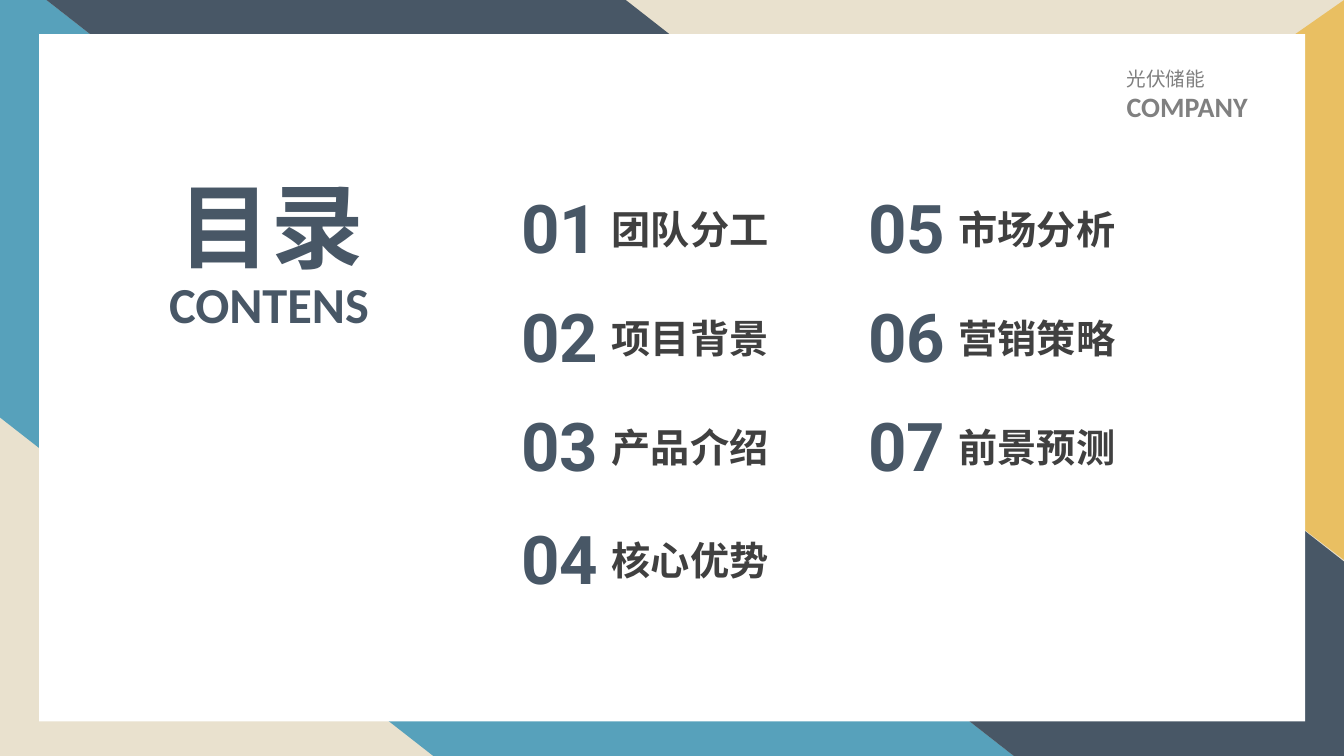
from pptx import Presentation
from pptx.dml.color import RGBColor
from pptx.enum.shapes import MSO_SHAPE as Preset
from pptx.enum.text import MSO_ANCHOR as Anchor, MSO_AUTO_SIZE as AutoSize, PP_ALIGN as Align
from pptx.util import Cm, Pt

WIDTH, HEIGHT = 33.87, 19.05
NAVY, BLUE, GOLD, SAND, WHITE = "485766", "57A1BB", "E9BF62", "E9E1CE", "FFFFFF"
DARK, GREY = "404040", "808080"
FIRST_COLUMN = ["团队分工", "项目背景", "产品介绍", "核心优势"]
SECOND_COLUMN = ["市场分析", "营销策略", "前景预测"]
ROW_TOPS = [0, 2.74, 5.49, 8.33]


def color(hex_code):
    """Turn a hex string into a colour."""
    return RGBColor.from_string(hex_code)


def paint(shape, fill):
    """Give a shape a flat fill without outline or shadow."""
    shape.fill.solid()
    shape.fill.fore_color.rgb = color(fill)
    shape.line.fill.background()
    shape.shadow.inherit = False


def add_panel(slide, preset, box, fill):
    """Add a painted preset shape in a box of centimetres."""
    panel = slide.shapes.add_shape(preset, *map(Cm, box))
    paint(panel, fill)
    return panel


def add_band(slide, corners, fill):
    """Add a painted polygon through corners in centimetres."""
    start, *others = [(Cm(x), Cm(y)) for x, y in corners]
    outline = slide.shapes.build_freeform(*start)
    outline.add_line_segments(others, close=True)
    paint(outline.convert_to_shape(), fill)


def add_text(slide, text, box, *, size, font, fill, bold=True,
             align=Align.LEFT, anchor=Anchor.TOP, grow=False):
    """Add one line of formatted text in a box of centimetres."""
    caption = slide.shapes.add_textbox(*map(Cm, box))
    frame = caption.text_frame
    frame.word_wrap = True
    frame.vertical_anchor = anchor
    frame.auto_size = AutoSize.SHAPE_TO_FIT_TEXT if grow else AutoSize.NONE
    line = frame.paragraphs[0]
    line.alignment = align
    run = line.add_run()
    run.text = text
    run.font.size = Pt(size)
    run.font.name = font
    run.font.bold = bold
    run.font.color.rgb = color(fill)


def add_frame(slide, left, top, width, height):
    """Draw the coloured border and the white page inside it."""
    right, bottom = left + width, top + height
    add_panel(slide, Preset.RECTANGLE, (left, top, width, height), SAND)
    corner = add_panel(slide, Preset.ISOSCELES_TRIANGLE,
                       (right - 11.87, top + 2.24, 14.1, 9.63), GOLD)
    corner.rotation = 270
    corner.adjustments[0] = 0.523
    seam_top, seam_bottom = (left + 1.17, top), (left + 25.55, bottom)
    add_band(slide, [seam_top, seam_bottom, (left + 10.92, bottom),
                     (left, top + 10.52), (left, top)], BLUE)
    add_band(slide, [(left + 15.77, top), (right, top + 14.15),
                     (right, bottom), seam_bottom, seam_top], NAVY)
    add_panel(slide, Preset.RECTANGLE,
              (left + 0.99, top + 0.86, width - 1.97, height - 1.73), WHITE)


def add_heading(slide, left, top):
    """Place the page title and its subtitle."""
    style = dict(font="Calibri", fill=NAVY, align=Align.JUSTIFY, anchor=Anchor.MIDDLE)
    add_text(slide, "目录", (left + 0.25, top, 6.12, 1.98), size=66, **style)
    add_text(slide, "CONTENS", (left, top + 1.98, 6.6, 1.98), size=36, **style)


def add_company(slide, left, top):
    """Place the topic and company lines."""
    style = dict(font="Calibri", fill=GREY, align=Align.JUSTIFY, anchor=Anchor.MIDDLE)
    add_text(slide, "COMPANY", (left, top + 0.53, 3.73, 1.55), size=20, **style)
    add_text(slide, "光伏储能", (left, top, 3.73, 1.22), size=14, bold=False, **style)


def add_chapters(slide, chapters, first, left, top):
    """Place one column of numbered chapters."""
    for number, (chapter, offset) in enumerate(zip(chapters, ROW_TOPS), first):
        y = top + offset
        add_text(slide, f"{number:02}", (left, y, 3.12, 2.31), size=48,
                 font="Roboto", fill=NAVY, align=Align.CENTER, grow=True)
        add_text(slide, chapter, (left + 2.62, y + 0.48, 6.83, 1.45), size=28,
                 font="Arial", fill=DARK, grow=True)


def main():
    """Build and save the contents slide."""
    deck = Presentation()
    deck.slide_width, deck.slide_height = Cm(WIDTH), Cm(HEIGHT)
    slide = deck.slides.add_slide(deck.slide_layouts[6])
    add_frame(slide, 0, 0, WIDTH, HEIGHT)
    add_heading(slide, 4.01, 4.67)
    add_company(slide, 28.14, 1.37)
    add_chapters(slide, FIRST_COLUMN, 1, 12.55, 4.57)
    add_chapters(slide, SECOND_COLUMN, len(FIRST_COLUMN) + 1, 21.29, 4.57)
    deck.save("out.pptx")


if __name__ == "__main__":
    main()
